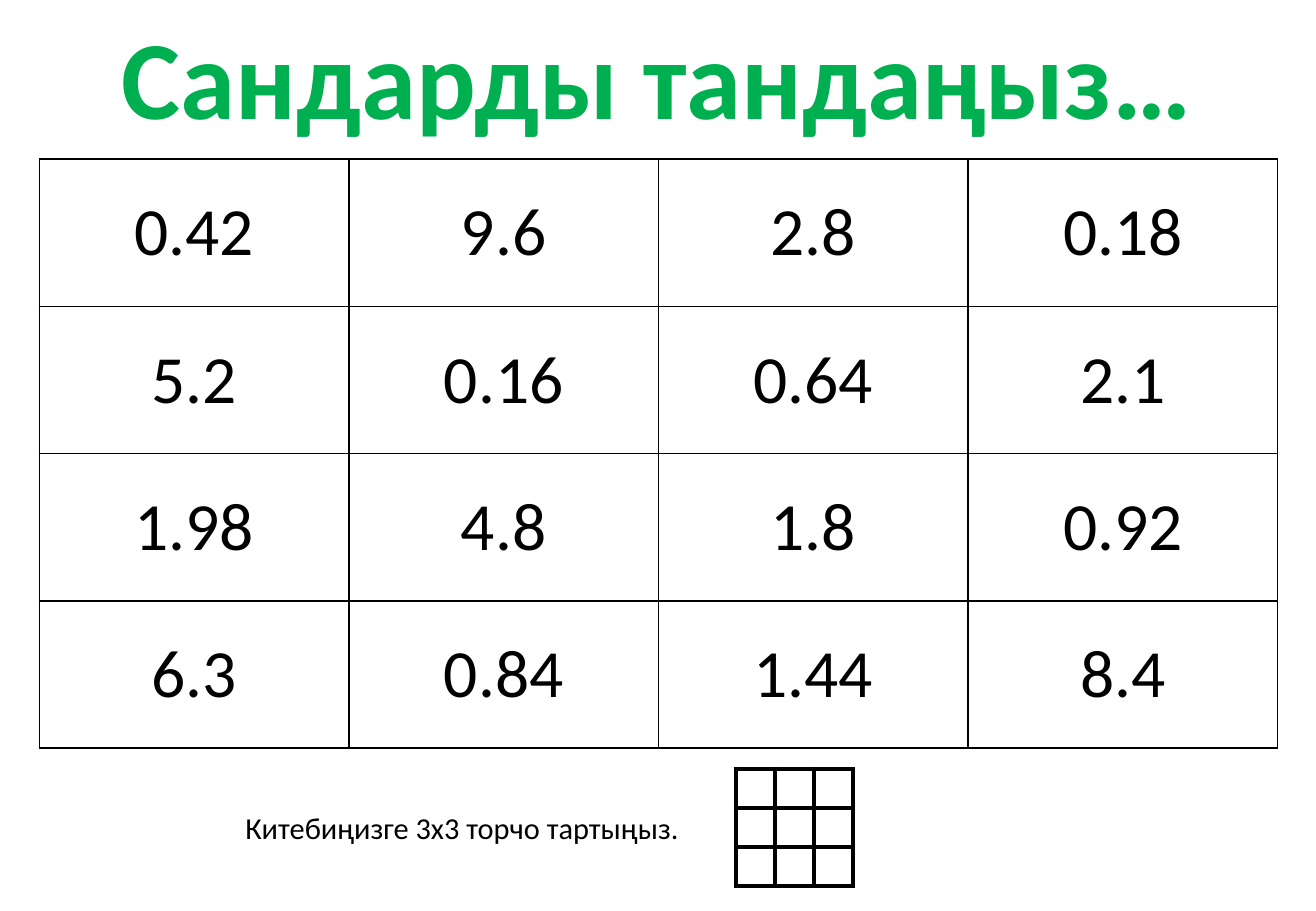
from dataclasses import dataclass

from lxml import etree
from pptx import Presentation
from pptx.dml.color import RGBColor
from pptx.enum.text import MSO_ANCHOR, MSO_AUTO_SIZE, PP_ALIGN
from pptx.oxml.ns import qn
from pptx.util import Inches, Pt

CENTER, LEFT = PP_ALIGN.CENTER, PP_ALIGN.LEFT
MIDDLE = MSO_ANCHOR.MIDDLE
GROW = MSO_AUTO_SIZE.SHAPE_TO_FIT_TEXT
SLIDE_WIDTH, SLIDE_HEIGHT = Inches(10.83), Inches(7.5)
BLANK_LAYOUT = 6
BORDER_SIDES = ("a:lnL", "a:lnR", "a:lnT", "a:lnB")

TITLE = "Сандарды тандаңыз…"
INSTRUCTION = "Китебиңизге 3х3 торчо тартыңыз."
NUMBERS = (
    ("0.42", "9.6", "2.8", "0.18"),
    ("5.2", "0.16", "0.64", "2.1"),
    ("1.98", "4.8", "1.8", "0.92"),
    ("6.3", "0.84", "1.44", "8.4"),
)
EMPTY_GRID = (("",) * 3,) * 3


@dataclass(frozen=True)
class Theme:
    """Colours, font and type sizes of the slide."""

    font: str = "Calibri"
    ink: str = "000000"
    paper: str = "FFFFFF"
    accent: str = "00B050"
    title_size: int = 66
    number_size: int = 40
    instruction_size: int = 18
    grid_size: int = 12
    number_border: int = 1
    grid_border: int = 3


THEME = Theme()


def style_paragraph(paragraph, size, color, align, bold=False):
    """Set the font and alignment of one paragraph."""
    paragraph.alignment = align
    paragraph.font.name = THEME.font
    paragraph.font.size = Pt(size)
    paragraph.font.bold = bold
    paragraph.font.color.rgb = RGBColor.from_string(color)


def add_label(slide, text, box, size, color, align, bold=False):
    """Add a single line of text in a box that grows with it."""
    frame = slide.shapes.add_textbox(*box).text_frame
    frame.word_wrap = False
    frame.auto_size = GROW
    frame.text = text
    style_paragraph(frame.paragraphs[0], size, color, align, bold)


def add_borders(cell, width):
    """Draw a solid line on all four sides of a cell."""
    properties = cell._tc.get_or_add_tcPr()
    for side in BORDER_SIDES:
        line = etree.SubElement(properties, qn(side), w=str(Pt(width)))
        solid = etree.SubElement(line, qn("a:solidFill"))
        etree.SubElement(solid, qn("a:srgbClr"), val=THEME.ink)


def add_number_table(slide, rows, box, size, border):
    """Add a plain ruled table with equal columns and rows."""
    left, top, width, height = box
    table = slide.shapes.add_table(
        len(rows), len(rows[0]), left, top, width, height
    ).table
    table.first_row = table.horz_banding = False
    for row, values in zip(table.rows, rows):
        for cell, value in zip(row.cells, values):
            cell.margin_left = cell.margin_right = 0
            cell.margin_top = cell.margin_bottom = 0
            cell.vertical_anchor = MIDDLE
            add_borders(cell, border)
            cell.fill.solid()
            cell.fill.fore_color.rgb = RGBColor.from_string(THEME.paper)
            cell.text = value
            style_paragraph(
                cell.text_frame.paragraphs[0], size, THEME.ink, CENTER
            )


def share(left, top, width, height):
    """Turn percentages of the slide into a box."""
    return (
        int(SLIDE_WIDTH * left / 100),
        int(SLIDE_HEIGHT * top / 100),
        int(SLIDE_WIDTH * width / 100),
        int(SLIDE_HEIGHT * height / 100),
    )


def main():
    """Build the number-choosing slide and save it."""
    deck = Presentation()
    deck.slide_width, deck.slide_height = SLIDE_WIDTH, SLIDE_HEIGHT
    slide = deck.slides.add_slide(deck.slide_layouts[BLANK_LAYOUT])
    add_number_table(
        slide, NUMBERS, share(2.98, 17.47, 94.12, 64.67),
        THEME.number_size, THEME.number_border,
    )
    add_label(
        slide, TITLE, share(7.29, 0.27, 85.32, 16.13),
        THEME.title_size, THEME.accent, CENTER, bold=True,
    )
    add_number_table(
        slide, EMPTY_GRID, share(55.91, 84.4, 8.9, 12.85),
        THEME.grid_size, THEME.grid_border,
    )
    add_label(
        slide, INSTRUCTION, share(17.73, 88.13, 35.18, 5.33),
        THEME.instruction_size, THEME.ink, LEFT,
    )
    deck.save("out.pptx")


if __name__ == "__main__":
    main()
